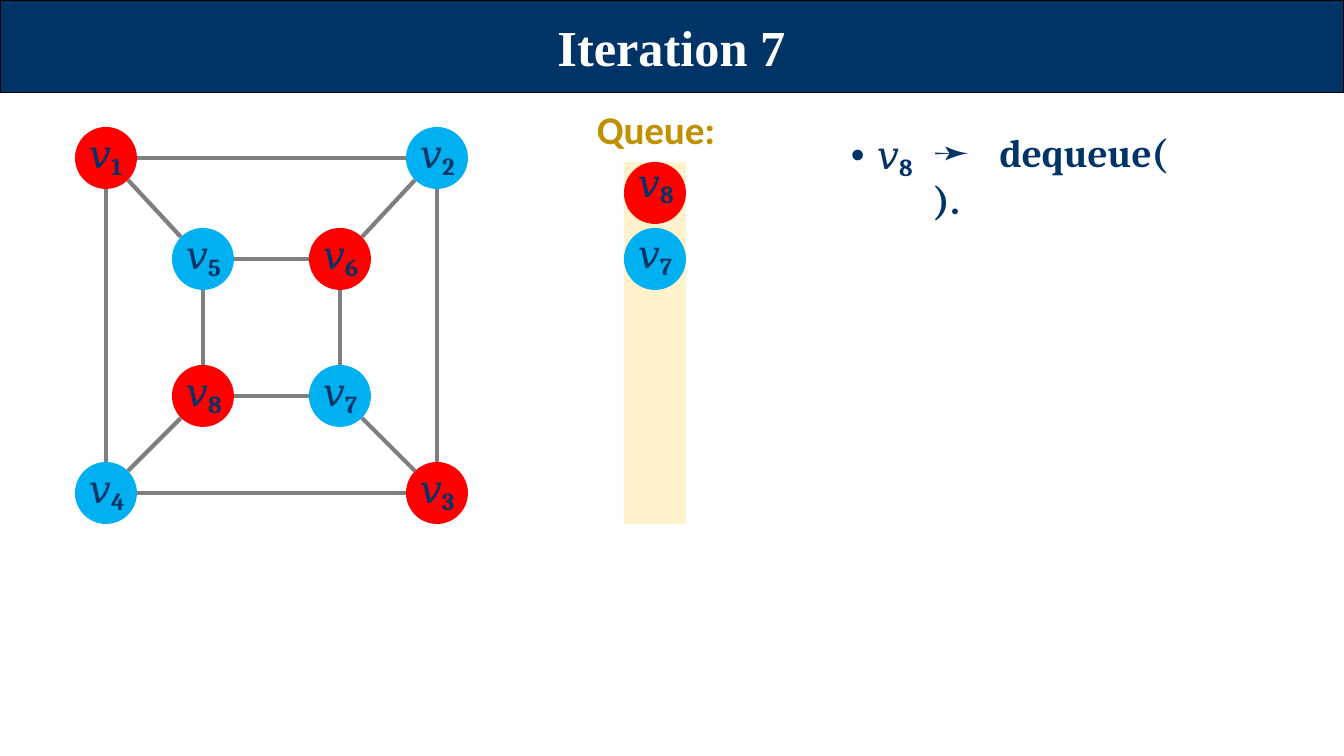
from lxml.etree import SubElement
from pptx import Presentation
from pptx.dml.color import RGBColor
from pptx.enum.shapes import MSO_CONNECTOR as CXN, MSO_SHAPE as SHAPE
from pptx.enum.text import MSO_ANCHOR as ANCHOR, MSO_AUTO_SIZE as AUTO, PP_ALIGN as ALIGN
from pptx.oxml.ns import qn
from pptx.util import Pt

PX = 914400 / 100.8
NAVY, RED, BLUE, GREY = "003366", "FF0000", "00B0F0", "7F7F7F"
CREAM, GOLD, WHITE, BLACK = "FFF2CC", "BF9000", "FFFFFF", "000000"
RADIUS = 31


def px(n):
    return round(n * PX)


def rgb(value):
    return RGBColor.from_string(value)


def apply(target, values):
    for name, value in values.items():
        setattr(target, name, value)


class Canvas:
    font = {"name": "Cambria", "size": Pt(28), "bold": True}
    frame = {"word_wrap": True, "auto_size": AUTO.NONE, "margin_left": 0,
             "margin_top": px(2), "margin_right": 0, "margin_bottom": 0}

    def __init__(self, slide):
        self.shapes = slide.shapes

    def shape(self, kind, x, y, w, h, fill, line=None):
        sp = self.shapes.add_shape(kind, px(x), px(y), px(w), px(h))
        sp.shadow.inherit = False
        sp.fill.solid()
        sp.fill.fore_color.rgb = rgb(fill)
        if line:
            sp.line.color.rgb = rgb(line)
            sp.line.width = Pt(0.75)
        else:
            sp.line.fill.background()

    def node(self, x, y, fill):
        self.shape(SHAPE.OVAL, x - RADIUS, y - RADIUS, 2 * RADIUS, 2 * RADIUS, fill)

    def edge(self, start, end):
        """Join two node centres with a line that stops at both rims."""
        dx, dy = ((b > a) - (b < a) for a, b in zip(start, end))
        trim = 22 if dx and dy else RADIUS
        (x1, y1), (x2, y2) = start, end
        ends = x1 + dx * trim, y1 + dy * trim, x2 - dx * trim, y2 - dy * trim
        cxn = self.shapes.add_connector(CXN.STRAIGHT, *map(px, ends))
        cxn.line.color.rgb = rgb(GREY)
        cxn.line.width = Pt(3)
        SubElement(cxn._element.spPr, qn("a:effectLst"))

    def text_frame(self, x, y, w, h, **frame):
        tf = self.shapes.add_textbox(px(x), px(y), px(w), px(h)).text_frame
        apply(tf, {**self.frame, **frame})
        return tf

    def indent(self, p, left, bullet=0):
        """Set the left margin; a bullet hangs that far to its left."""
        pPr = p._p.get_or_add_pPr()
        pPr.set("marL", str(px(left)))
        pPr.set("indent", str(-px(bullet)))
        if bullet:
            SubElement(pPr, qn("a:buFont")).set("typeface", "Arial")
            SubElement(pPr, qn("a:buChar")).set("char", "•")

    def run(self, p, text, color=NAVY, spacing=0, baseline=0, **font):
        """Add a run; spacing is in points and baseline in percent."""
        r = p.add_run()
        r.text = text
        apply(r.font, {**self.font, **font})
        r.font.color.rgb = rgb(color)
        rPr = r._r.get_or_add_rPr()
        rPr.set("spc", str(round(spacing * 100)))
        if baseline:
            rPr.set("baseline", str(baseline * 1000))

    def vertex_name(self, p, number):
        self.run(p, "𝑣", spacing=-0.2)
        self.run(p, str(number), spacing=-0.4, baseline=-15, size=Pt(30))


def draw_graph(c):
    left, right, top, bottom = 106, 437, 158, 493
    in_left, in_right, in_top, in_bottom = 203, 340, 259, 396
    vertices = {
        1: (left, top, RED), 2: (right, top, BLUE),
        3: (right, bottom, RED), 4: (left, bottom, BLUE),
        5: (in_left, in_top, BLUE), 6: (in_right, in_top, RED),
        7: (in_right, in_bottom, BLUE), 8: (in_left, in_bottom, RED),
    }
    for i in range(4):
        outer, inner, after = i + 1, i + 5, (i + 1) % 4
        for a, b in ((outer, after + 1), (inner, after + 5), (outer, inner)):
            c.edge(vertices[a][:2], vertices[b][:2])
    for number, (x, y, fill) in vertices.items():
        c.node(x, y, fill)
        p = c.text_frame(x - 21, y - 33, 45, 49).paragraphs[0]
        c.indent(p, 4)
        c.vertex_name(p, number)


def draw_queue(c):
    p = c.text_frame(596, 103, 122, 49).paragraphs[0]
    c.indent(p, 1)
    c.run(p, "Queue:", GOLD, -0.1, name="Calibri")
    x, y, w, h = 624, 162, 2 * RADIUS, 362
    c.shape(SHAPE.RECTANGLE, x, y, w, h, CREAM)
    tf = c.text_frame(x, y, w, h, margin_top=0)
    formats = {"line_spacing": Pt(33)}, {"space_before": Pt(13.3)}
    for i, (number, fill) in enumerate(((8, RED), (7, BLUE))):
        c.node(x + RADIUS, y + RADIUS + 66 * i, fill)
        p = tf.add_paragraph() if i else tf.paragraphs[0]
        c.indent(p, 14)
        apply(p, formats[i])
        c.vertex_name(p, number)
    # Labels belong above the queue's nodes
    c.shapes._spTree.append(tf._txBody.getparent())


def draw_step(c):
    p = c.text_frame(847, 126, 71, 49).paragraphs[0]
    c.indent(p, 30, bullet=26)
    c.vertex_name(p, 8)
    p = c.text_frame(933, 126, 242, 49).paragraphs[0]
    c.indent(p, 1)
    c.run(p, "➛ ", spacing=7.5)
    c.run(p, "dequeue( ")
    c.run(p, ")", spacing=-6)
    c.run(p, ".", spacing=-6, name="Calibri")


def main():
    prs = Presentation()
    prs.slide_width, prs.slide_height = px(1344), px(756)
    c = Canvas(prs.slides.add_slide(prs.slide_layouts[6]))
    c.shape(SHAPE.RECTANGLE, 0, 0, 1344, 93, NAVY, BLACK)
    p = c.text_frame(538, 13, 267, 64, vertical_anchor=ANCHOR.MIDDLE).paragraphs[0]
    p.alignment = ALIGN.CENTER
    c.run(p, "Iteration 7", WHITE, name="Times New Roman", size=Pt(36))
    draw_graph(c)
    draw_queue(c)
    draw_step(c)
    prs.save("out.pptx")


if __name__ == "__main__":
    main()
